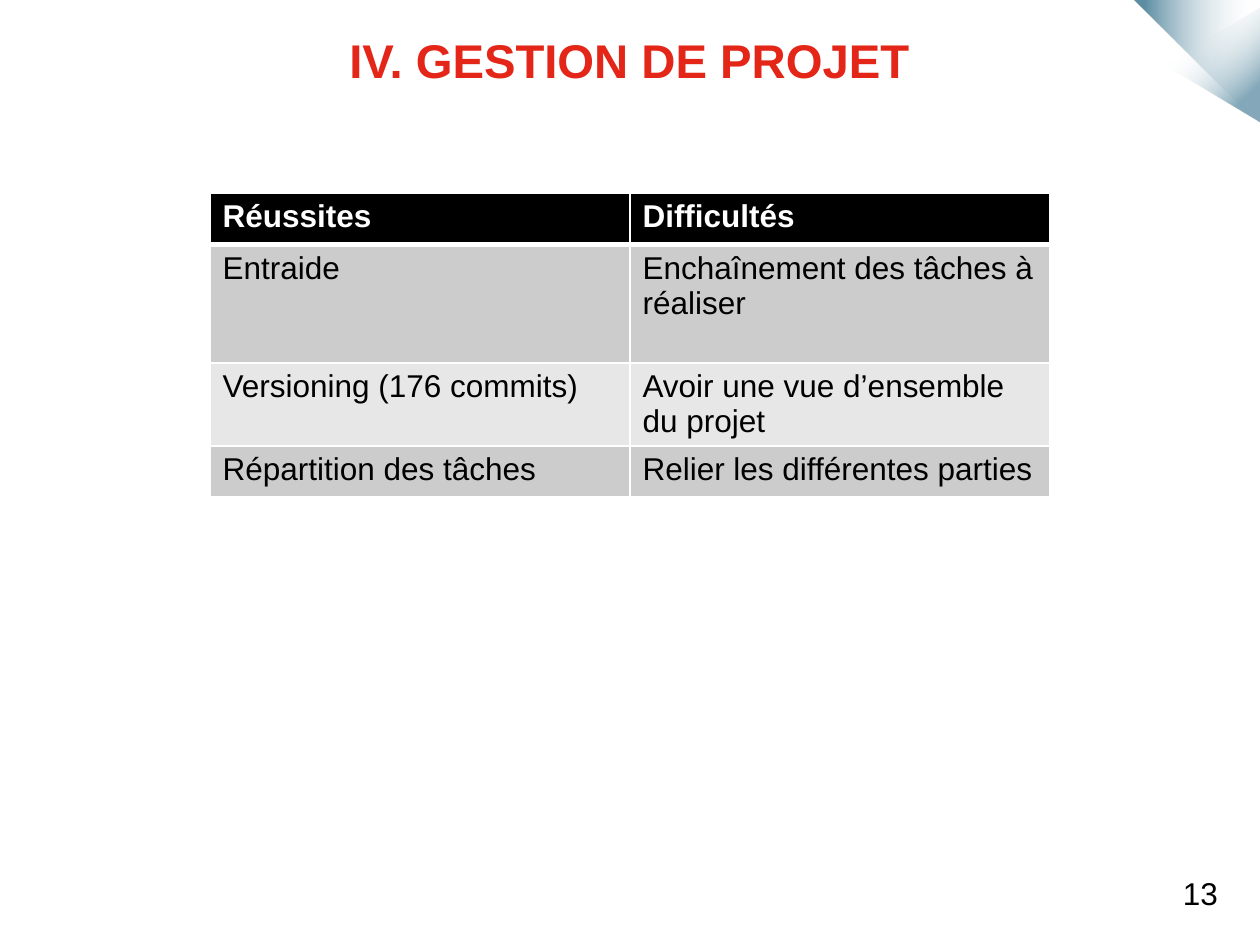
from lxml import etree
from pptx import Presentation
from pptx.dml.color import RGBColor
from pptx.enum.shapes import MSO_SHAPE
from pptx.enum.text import PP_ALIGN
from pptx.oxml.ns import qn
from pptx.util import Inches, Pt

TRIANGLE = MSO_SHAPE.ISOSCELES_TRIANGLE
LEFT, CENTER = PP_ALIGN.LEFT, PP_ALIGN.CENTER
WIDTH, HEIGHT = 10, 7.5
FONT = "Arial"
COLORS = {"red": "E42618", "black": "000000", "white": "FFFFFF",
          "teal": "004D6F", "odd": "CCCCCC", "even": "E7E7E7"}

TITLE = "IV. GESTION DE PROJET"
PAGE_NUMBER = "13"
ROWS = [
    ("Réussites", "Difficultés"),
    ("Entraide", "Enchaînement des tâches à réaliser"),
    ("Versioning (176 commits)", "Avoir une vue d’ensemble du projet"),
    ("Répartition des tâches", "Relier les différentes parties"),
]
ROW_HEIGHTS = [0.41, 0.94, 0.66, 0.4]
TABLE_TOP = 1.53
TABLE_WIDTH = WIDTH * 2 / 3
CORNER = [(9, 0.18), (9.29, 0), (10, 0), (10, 0.79)]


def color(name):
    """Return the named palette colour."""
    return RGBColor.from_string(COLORS[name])


def write(frame, text, size=18, ink="black", bold=False, align=LEFT, spacing=None):
    """Put one formatted paragraph in a text frame."""
    frame.word_wrap = True
    para = frame.paragraphs[0]
    para.alignment = align
    para.line_spacing = spacing
    span = para.add_run()
    span.text = text
    span.font.name = FONT
    span.font.size = Pt(size)
    span.font.bold = bold
    span.font.color.rgb = color(ink)


def add_text(page, text, left, top, width, height, **style):
    """Add a text box with one formatted paragraph."""
    box = page.shapes.add_textbox(*map(Inches, (left, top, width, height)))
    write(box.text_frame, text, **style)


def fade(shape, start, end, opacity, angle):
    """Fill a shape from clear white to translucent teal."""
    shape.shadow.inherit = False
    shape.line.fill.background()
    shape.fill.gradient()
    shape.fill.gradient_angle = angle
    for stop, name, position in zip(shape.fill.gradient_stops, ("white", "teal"), (start, end)):
        stop.color.rgb = color(name)
        stop.position = position
    for tint, share in zip(shape._element.iter(qn("a:srgbClr")), (0, opacity)):
        etree.SubElement(tint, qn("a:alpha"), val=str(round(share * 100000)))


def add_corner(page):
    """Draw the two overlapping shapes of the top right corner."""
    builder = page.shapes.build_freeform(*CORNER[0], scale=Inches(1))
    builder.add_line_segments(CORNER[1:], close=True)
    fade(builder.convert_to_shape(), 0.01, 0.91, 0.63, 180)
    triangle = page.shapes.add_shape(TRIANGLE, *map(Inches, (9.17, 0.14, 0.91, 0.75)))
    triangle.rotation = 270
    fade(triangle, 0.27, 0.81, 0.48, 225)


def add_borders(cell, bottom):
    """Give a cell white borders, with its own bottom and top weights."""
    properties = cell._tc.get_or_add_tcPr()
    weights = {"lnL": 1, "lnR": 1, "lnT": bottom[0], "lnB": bottom[1]}
    for index, (tag, weight) in enumerate(weights.items()):
        line = etree.Element(qn(f"a:{tag}"), w=str(Pt(weight)))
        fill = etree.SubElement(line, qn("a:solidFill"))
        etree.SubElement(fill, qn("a:srgbClr"), val=COLORS["white"])
        properties.insert(index, line)


def add_table(page):
    """Add the centred table of successes and difficulties."""
    columns = len(ROWS[0])
    table = page.shapes.add_table(
        len(ROWS), columns, Inches((WIDTH - TABLE_WIDTH) / 2), Inches(TABLE_TOP),
        Inches(TABLE_WIDTH), Inches(sum(ROW_HEIGHTS))).table
    for column in table.columns:
        column.width = Inches(TABLE_WIDTH / columns)
    for number, (texts, height) in enumerate(zip(ROWS, ROW_HEIGHTS)):
        table.rows[number].height = Inches(height)
        header = number == 0
        band = "black" if header else "odd" if number % 2 else "even"
        weights = (3 if number == 1 else 1, 3 if header else 1)
        for cell, text in zip(table.rows[number].cells, texts):
            cell.fill.solid()
            cell.fill.fore_color.rgb = color(band)
            add_borders(cell, weights)
            write(cell.text_frame, text, ink="white" if header else "black", bold=header)


def main():
    """Build the slide and save it."""
    deck = Presentation()
    deck.slide_width, deck.slide_height = Inches(WIDTH), Inches(HEIGHT)
    page = deck.slides.add_slide(deck.slide_layouts[6])
    add_corner(page)
    add_table(page)
    add_text(page, TITLE, 0.69, 0.25, 8.61, 0.8, size=27, ink="red",
             bold=True, align=CENTER, spacing=0.9)
    add_text(page, PAGE_NUMBER, 9.29, 6.89, 0.54, 0.4)
    deck.save("out.pptx")


if __name__ == "__main__":
    main()
